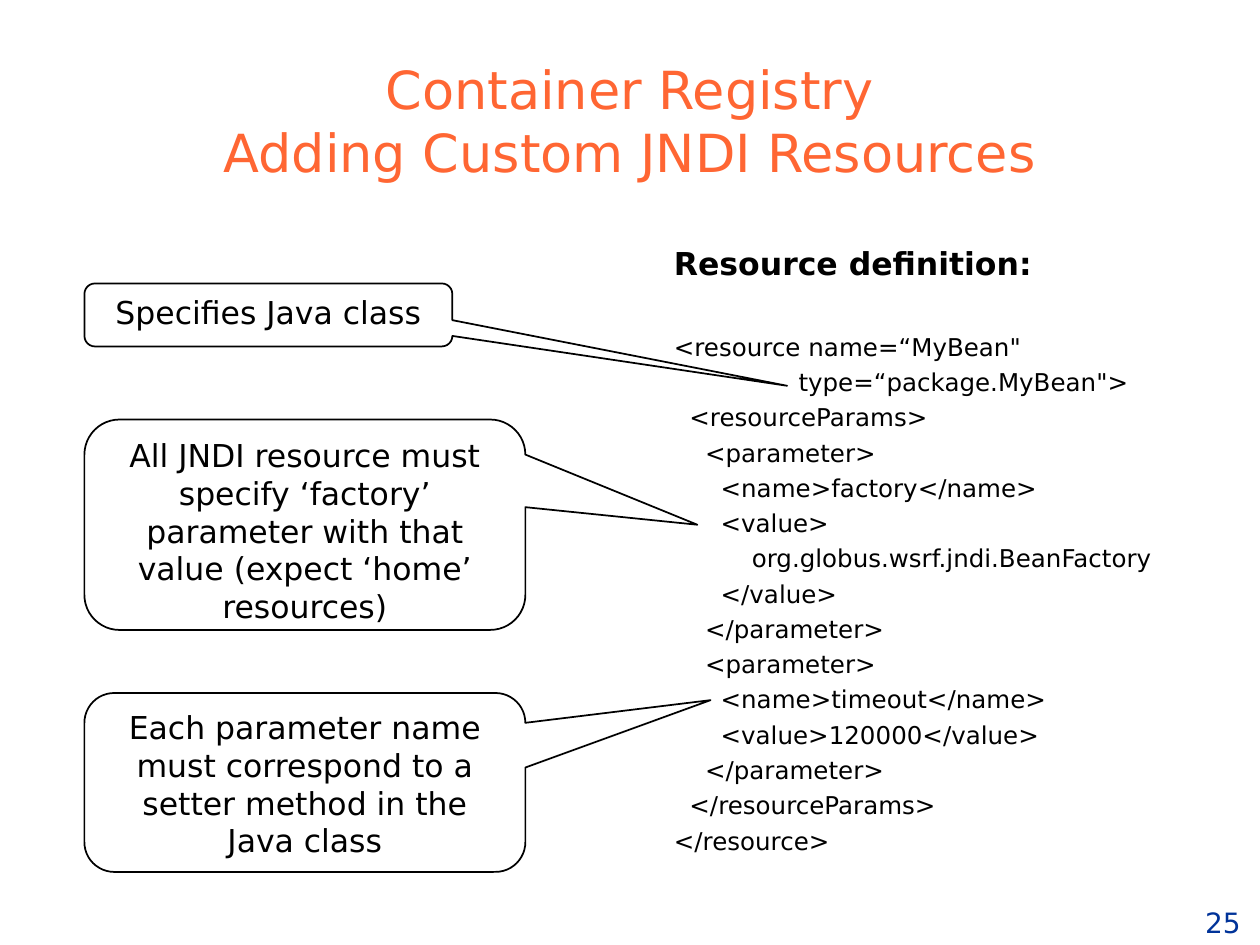
from dataclasses import dataclass

import pptx
import pptx.dml.color
import pptx.enum.shapes
import pptx.enum.text
import pptx.util
from pptx.util import Inches

ALIGN = pptx.enum.text.PP_ALIGN
ANCHOR = pptx.enum.text.MSO_ANCHOR
AUTO_SIZE = pptx.enum.text.MSO_AUTO_SIZE


@dataclass(frozen=True)
class Theme:
    font: str = "DejaVu Sans"
    title: str = "FF6633"
    ink: str = "000000"
    paper: str = "FFFFFF"
    number: str = "003399"
    title_size: int = 30
    body_size: int = 18
    number_size: int = 16
    code_size: int = 14


THEME = Theme()

CODE = """\
<resource name=“MyBean"
                type=“package.MyBean">
  <resourceParams>
    <parameter>
      <name>factory</name>
      <value>
          org.globus.wsrf.jndi.BeanFactory
      </value>
    </parameter>
    <parameter>
      <name>timeout</name>
      <value>120000</value>
    </parameter>
  </resourceParams>
</resource>"""

CALLOUT_LEFT = 0.67
CALLOUT_CORNER = 0.167
# text, top, width, height, pointer offset from the centre as shares of the size
CALLOUTS = [
    ("Specifies Java class", 2.25, 2.92, 0.5, (1.41, 1.125)),
    ("All JNDI resource must specify ‘factory’ parameter with that value "
     "(expect ‘home’ resources)", 3.33, 3.5, 1.67, (0.89, 0)),
    ("Each parameter name must correspond to a setter method in the Java class",
     5.5, 3.5, 1.42, (0.92, -0.46)),
]


def rgb(value):
    return pptx.dml.color.RGBColor.from_string(value)


def style(para, size, color=THEME.ink, bold=False, align=ALIGN.LEFT):
    para.alignment = align
    para.font.name = THEME.font
    para.font.size = pptx.util.Pt(size)
    para.font.bold = bold
    para.font.color.rgb = rgb(color)


def set_title(page, text):
    title = page.shapes.title
    title.left, title.top = Inches(0.75), Inches(0.67)
    title.width, title.height = Inches(8.5), Inches(0.83)
    frame = title.text_frame
    frame.text = text
    frame.auto_size = AUTO_SIZE.NONE
    frame.vertical_anchor = ANCHOR.BOTTOM
    style(frame.paragraphs[0], THEME.title_size, THEME.title, align=ALIGN.CENTER)


def add_page_number(page, number):
    box = page.shapes.add_textbox(Inches(9.06), Inches(7.1), Inches(1.29), Inches(0.4))
    frame = box.text_frame
    frame.text = str(number)
    frame.word_wrap = False
    frame.vertical_anchor = ANCHOR.BOTTOM
    style(frame.paragraphs[0], THEME.number_size, THEME.number, align=ALIGN.CENTER)


def add_listing(page, heading, code):
    box = page.shapes.add_textbox(Inches(5.25), Inches(1.83), Inches(4.58), Inches(5.02))
    frame = box.text_frame
    frame.word_wrap = True
    frame.auto_size = AUTO_SIZE.SHAPE_TO_FIT_TEXT
    frame.text = heading + "\n" + code
    first, *lines = frame.paragraphs
    style(first, THEME.body_size, bold=True)
    for para in lines:
        style(para, THEME.code_size)
    for para in frame.paragraphs:
        para.line_spacing = 1.2
    lines[0].space_before = pptx.util.Pt(25)


def add_callout(page, text, top, width, height, pointer):
    callout = page.shapes.add_shape(
        pptx.enum.shapes.MSO_SHAPE.ROUNDED_RECTANGULAR_CALLOUT,
        Inches(CALLOUT_LEFT), Inches(top), Inches(width), Inches(height))
    for index, value in enumerate((*pointer, CALLOUT_CORNER)):
        callout.adjustments[index] = value
    callout.shadow.inherit = False
    callout.fill.solid()
    callout.fill.fore_color.rgb = rgb(THEME.paper)
    callout.line.color.rgb = rgb(THEME.ink)
    callout.line.width = pptx.util.Pt(1)
    frame = callout.text_frame
    frame.text = text
    frame.word_wrap = True
    frame.vertical_anchor = ANCHOR.TOP
    style(frame.paragraphs[0], THEME.body_size, align=ALIGN.CENTER)


def main():
    deck = pptx.Presentation()
    deck.slide_width, deck.slide_height = Inches(10), Inches(7.5)
    page = deck.slides.add_slide(deck.slide_layouts.get_by_name("Title Only"))
    add_page_number(page, 25)
    set_title(page, "Container Registry\vAdding Custom JNDI Resources")
    add_listing(page, "Resource definition:", CODE)
    for callout in CALLOUTS:
        add_callout(page, *callout)
    deck.save("out.pptx")


if __name__ == "__main__":
    main()
